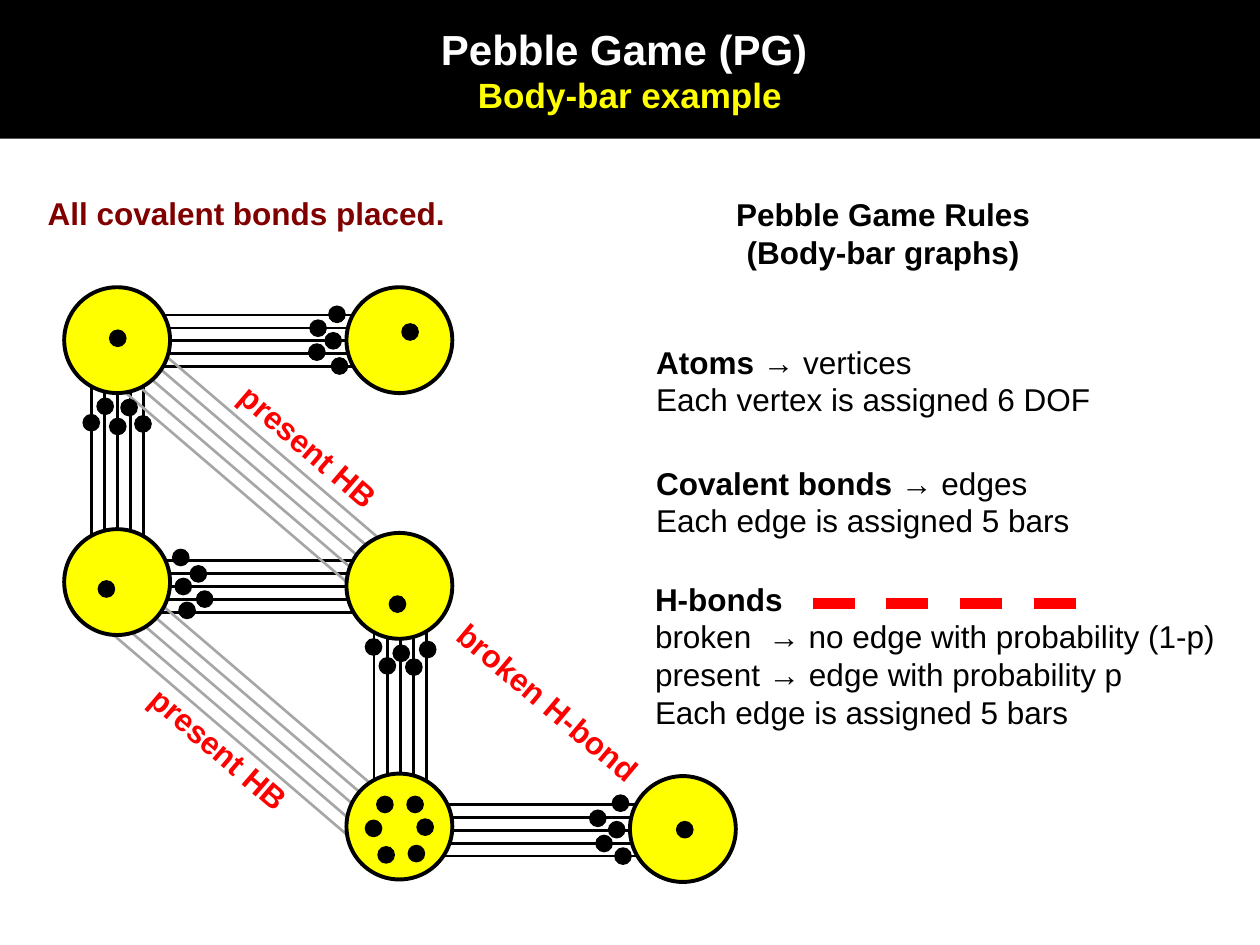
from lxml import etree
from pptx import Presentation
from pptx.dml.color import RGBColor
from pptx.enum.dml import MSO_LINE
from pptx.enum.shapes import MSO_CONNECTOR, MSO_SHAPE
from pptx.enum.text import MSO_ANCHOR, MSO_AUTO_SIZE, PP_ALIGN
from pptx.oxml.ns import qn
from pptx.util import Inches, Pt

STRAIGHT, OVAL, DASH = MSO_CONNECTOR.STRAIGHT, MSO_SHAPE.OVAL, MSO_LINE.DASH
LEFT, CENTER, MIDDLE = PP_ALIGN.LEFT, PP_ALIGN.CENTER, MSO_ANCHOR.MIDDLE
GROW, NO_RESIZE = MSO_AUTO_SIZE.SHAPE_TO_FIT_TEXT, MSO_AUTO_SIZE.NONE

THEME = {
    "font": "Arial", "title": 24, "subtitle": 20, "body": 18,
    "black": "000000", "white": "FFFFFF", "yellow": "FFFF00",
    "red": "FF0000", "maroon": "800000", "grey": "A6A6A6",
}

# Content: a paragraph is a list of (text, bold) runs
TITLE = [("Pebble Game (PG) ", "title", "white"), ("Body-bar example", "subtitle", "yellow")]

# (left, top, width, height), rotation, alignment, colour, paragraphs
TEXTS = [
    ((5.73, 1.5, 2.56, 0.71), 0, CENTER, "black",
     [[("Pebble Game Rules", True)], [("(Body-bar graphs)", True)]]),
    ((5.11, 2.67, 3.7, 0.71), 0, LEFT, "black",
     [[("Atoms ", True), ("→ vertices", False)],
      [("Each vertex is assigned 6 DOF", False)]]),
    ((5.11, 3.63, 3.51, 0.71), 0, LEFT, "black",
     [[("Covalent bonds ", True), ("→ edges", False)],
      [("Each edge is assigned 5 bars", False)]]),
    ((5.1, 4.55, 4.69, 1.31), 0, LEFT, "black",
     [[("H-bonds", True)],
      [("broken\t→ no edge with probability (1-p)", False)],
      [("present → edge with probability p", False)],
      [("Each edge is assigned 5 bars", False)]]),
    ((1.68, 3.35, 1.56, 0.4), 40.7, LEFT, "red", [[("present HB", True)]]),
    ((3.36, 5.38, 2, 0.4), 40, LEFT, "red", [[("broken H-bond", True)]]),
    ((0.97, 5.75, 1.56, 0.4), 40.7, LEFT, "red", [[("present HB", True)]]),
    ((0.28, 1.49, 3.39, 0.4), 0, LEFT, "maroon", [[("All covalent bonds placed.", True)]]),
]
ARROW_TAB = 0.9

# Bond direction: (run of a bar, step to the next bar, colour)
ACROSS = ((1.92, 0), (0, 0.1025), "black")
UP = ((0, -1.92), (0.1035, 0), "black")
DIAGONAL = ((-2.115, -1.81), (0.07, -0.0815), "grey")
BARS_PER_BOND = 5
BONDS = [  # start of the first bar, direction
    ((1.12, 4.45), ACROSS), ((3.31, 6.385), ACROSS), ((2.97, 6.57), UP),
    ((1.12, 2.5), ACROSS), ((2.9, 6.75), DIAGONAL),
    ((0.725, 4.67), UP), ((2.94, 4.78), DIAGONAL),
]
H_BOND_KEY = ((6.45, 4.79), (8.57, 4.79))

ATOM_SIZE, PEBBLE_SIZE = 0.84, 0.13
ATOMS = [  # position, then the pebbles that belong to the atom
    ((2.75, 6.14), [(3.23, 6.32), (2.99, 6.32), (2.9, 6.51),
                    (3, 6.72), (3.31, 6.5), (3.24, 6.71)]),
    ((2.75, 2.28), [(2.46, 2.54), (2.61, 2.43), (2.45, 2.73),
                    (2.63, 2.84), (2.58, 2.64), (3.19, 2.57)]),
    ((0.51, 2.28), [(0.87, 3.32), (0.77, 3.16), (0.66, 3.29),
                    (0.87, 2.62), (1.07, 3.3), (0.96, 3.17)]),
    ((5, 6.16), [(4.83, 6.52), (4.86, 6.31), (4.68, 6.43),
                 (4.88, 6.73), (4.73, 6.63), (5.37, 6.52)]),
    ((0.51, 4.2), [(1.37, 4.36), (1.42, 4.78), (0.78, 4.61),
                   (1.51, 4.49), (1.56, 4.69), (1.39, 4.59)]),
    ((2.75, 4.23), [(2.9, 5.07), (3.01, 5.22), (3.12, 5.12),
                    (3.09, 4.73), (3.33, 5.09), (3.22, 5.23)]),
]


def colour(name):
    return RGBColor.from_string(THEME[name])


def style(font, size, tint, bold):
    font.name, font.size, font.bold = THEME["font"], Pt(THEME[size]), bold
    font.color.rgb = colour(tint)


def add_line(slide, start, end, tint, weight):
    line = slide.shapes.add_connector(STRAIGHT, *map(Inches, (*start, *end)))
    line.line.color.rgb, line.line.width = colour(tint), Pt(weight)
    etree.SubElement(line._element.spPr, qn("a:effectLst"))
    return line


def add_disc(slide, corner, size, fill, weight):
    disc = slide.shapes.add_shape(OVAL, *map(Inches, (*corner, size, size)))
    disc.shadow.inherit = False
    disc.fill.solid()
    disc.fill.fore_color.rgb = colour(fill)
    disc.line.color.rgb, disc.line.width = colour("black"), Pt(weight)


def add_text(slide, box, rotation, align, tint, paragraphs):
    label = slide.shapes.add_textbox(*map(Inches, box))
    label.rotation = rotation
    frame = label.text_frame
    frame.word_wrap, frame.auto_size = False, GROW
    for i, runs in enumerate(paragraphs):
        paragraph = frame.add_paragraph() if i else frame.paragraphs[0]
        paragraph.alignment = align
        if any("\t" in words for words, _ in runs):
            tabs = etree.SubElement(paragraph._p.get_or_add_pPr(), qn("a:tabLst"))
            etree.SubElement(tabs, qn("a:tab"), pos=str(Inches(ARROW_TAB)), algn="l")
        for words, bold in runs:
            run = paragraph.add_run()
            run.text = words
            style(run.font, "body", tint, bold)


def add_title(slide):
    banner = slide.shapes.title
    banner.left, banner.top, banner.width, banner.height = map(Inches, (0, 0, 10, 1.1))
    banner.fill.solid()
    banner.fill.fore_color.rgb = colour("black")
    frame = banner.text_frame
    frame.text = "\n".join(words for words, _, _ in TITLE)
    frame.vertical_anchor, frame.auto_size = MIDDLE, NO_RESIZE
    for paragraph, (_, size, tint) in zip(frame.paragraphs, TITLE):
        paragraph.alignment = CENTER
        paragraph.space_before = Pt(0)
        style(paragraph.runs[0].font, size, tint, True)


def main():
    deck = Presentation()
    deck.slide_width, deck.slide_height = Inches(10), Inches(7.5)
    slide = deck.slides.add_slide(deck.slide_layouts[5])
    add_title(slide)

    # Five parallel bars for each bond
    for (x, y), ((run_x, run_y), (step_x, step_y), tint) in BONDS:
        for i in range(BARS_PER_BOND):
            start = (x + i * step_x, y + i * step_y)
            add_line(slide, start, (start[0] + run_x, start[1] + run_y), tint, 1.5)

    # Key and wording
    add_line(slide, *H_BOND_KEY, "red", 6).line.dash_style = DASH
    for text in TEXTS:
        add_text(slide, *text)

    # Atoms first, so that every pebble lies on top
    for corner, _ in ATOMS:
        add_disc(slide, corner, ATOM_SIZE, "yellow", 2.25)
    for _, pebbles in ATOMS:
        for corner in pebbles:
            add_disc(slide, corner, PEBBLE_SIZE, "black", 0.75)

    deck.save("out.pptx")


if __name__ == "__main__":
    main()
